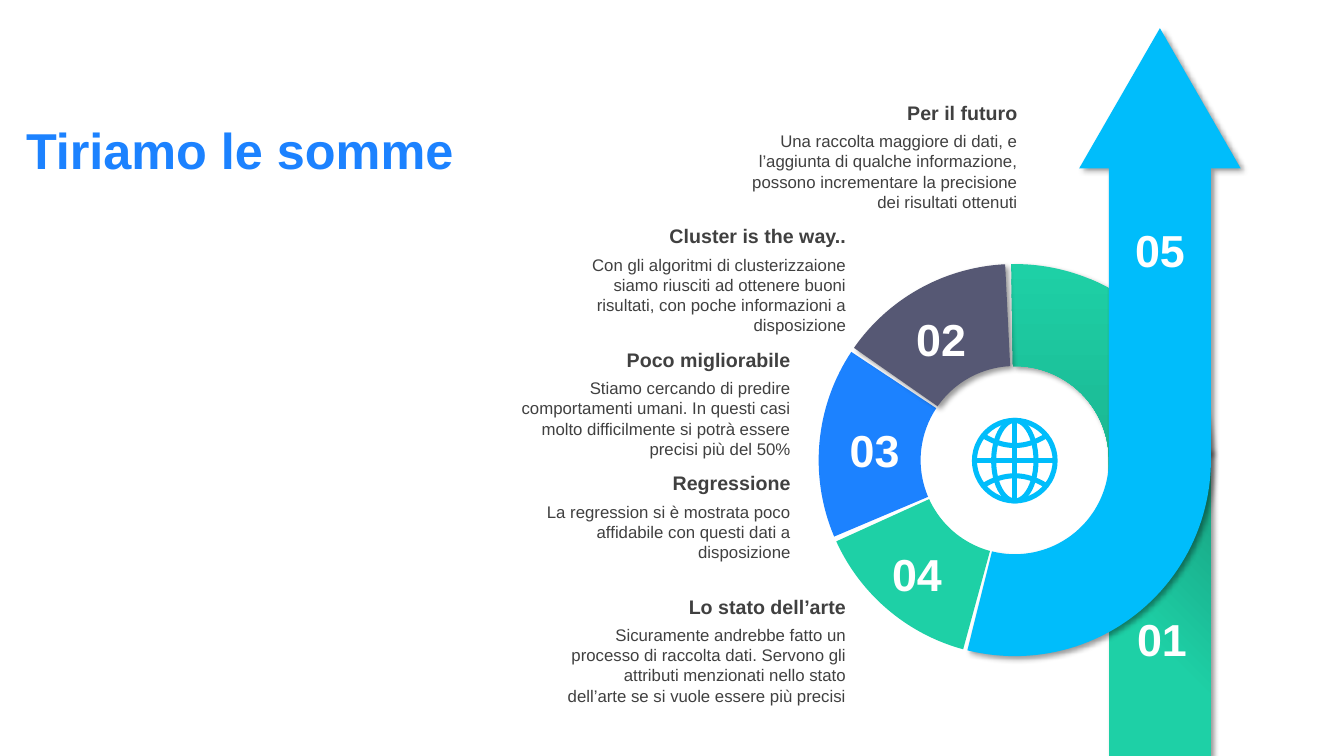
import math

import pptx
import pptx.dml.color
import pptx.enum.shapes
import pptx.enum.text
import pptx.oxml
import pptx.util
from pptx.util import Inches

GREEN, DARK_GREEN, CYAN, BLUE, SLATE = "1ED0A6", "179C7D", "00BDFB", "1C82FF", "565874"
GREY, WHITE = "404040", "FFFFFF"

TITLE = "Tiriamo le somme"
TOPICS = [
    ("Per il futuro",
     "Una raccolta maggiore di dati, e l’aggiunta di qualche informazione, "
     "possono incrementare la precisione dei risultati ottenuti", 10.19, 2.84, 0.91),
    ("Cluster is the way..",
     "Con gli algoritmi di clusterizzaione siamo riusciti ad ottenere buoni "
     "risultati, con poche informazioni a disposizione", 8.49, 2.72, 0.91),
    ("Poco migliorabile",
     "Stiamo cercando di predire comportamenti umani. In questi casi molto "
     "difficilmente si potrà essere precisi più del 50%", 7.94, 3.03, 0.91),
    ("Regressione",
     "La regression si è mostrata poco affidabile con questi dati a disposizione",
     7.94, 3.0, 0.71),
    ("Lo stato dell’arte",
     "Sicuramente andrebbe fatto un processo di raccolta dati. Servono gli "
     "attributi menzionati nello stato dell’arte se si vuole essere più precisi",
     8.49, 3.03, 0.91),
]
NUMBERS = [("01", 10.97, 6.02), ("04", 8.54, 5.37), ("03", 8.12, 4.14),
           ("02", 8.78, 3.04), ("05", 10.95, 2.16)]
SEGMENTS = [(285, 108.15, 138.31, GREEN, False),
            (337, 108.04, 141.9, BLUE, False),
            (36, 107.35, 138.7, SLATE, True)]

TOPIC_TOP, TOPIC_SPAN, BODY_DROP = 0.95, 4.9, 0.3
TOPIC_STEP = TOPIC_SPAN / (len(TOPICS) - 1)
RING_LEFT, RING_TOP, RING_SIZE, RING_BAND = 8.12, 2.62, 3.89, 0.26
RADIUS = RING_SIZE / 2
HOLE = RADIUS - RING_BAND * RING_SIZE
CENTER_X, CENTER_Y = RING_LEFT + RADIUS, RING_TOP + RADIUS
HOOK_END = 104
ARROW_TOP, ARROW_NECK, HEAD_HALF = 0.28, 1.67, 0.8
GLOBE_Y, GLOBE_RADIUS, GLOBE_INNER, GLOBE_LINE = 4.57, 0.4, 0.21, 3.6

SHADOW = (
    '<a:effectLst xmlns:a="http://schemas.openxmlformats.org/drawingml/2006/main">'
    '<a:outerShdw blurRad="50800" dist="38100" dir="2700000" algn="tl" rotWithShape="0">'
    '<a:srgbClr val="000000"><a:alpha val="40000"/></a:srgbClr>'
    '</a:outerShdw></a:effectLst>')
NO_EFFECT = '<a:effectLst xmlns:a="http://schemas.openxmlformats.org/drawingml/2006/main"/>'

SHAPE = pptx.enum.shapes.MSO_SHAPE
ALIGN = pptx.enum.text.PP_ALIGN
ANCHOR = pptx.enum.text.MSO_ANCHOR
AUTO = pptx.enum.text.MSO_AUTO_SIZE


def color(value):
    return pptx.dml.color.RGBColor.from_string(value)


def finish(shape, fill=None, shadow=False):
    if fill:
        shape.fill.solid()
        shape.fill.fore_color.rgb = color(fill)
    shape.line.fill.background()
    shape.shadow.inherit = False
    if shadow:
        properties = shape._element.spPr
        properties.remove(properties.find(pptx.oxml.ns.qn("a:effectLst")))
        properties.append(pptx.oxml.parse_xml(SHADOW))


def shade(shape, start, angle):
    shape.fill.gradient()
    shape.fill.gradient_angle = angle
    stops = shape.fill.gradient_stops
    for stop, position, value in zip(stops, (start, 1), (GREEN, DARK_GREEN)):
        stop.position = position
        stop.color.rgb = color(value)


def add_text(holder, text, left, top, width, height, size, tint=GREY, bold=False,
             align=ALIGN.LEFT, anchor=ANCHOR.TOP, grow=True, spacing=None):
    box = holder.add_textbox(Inches(left), Inches(top), Inches(width), Inches(height))
    frame = box.text_frame
    frame.word_wrap = True
    frame.auto_size = AUTO.SHAPE_TO_FIT_TEXT if grow else AUTO.NONE
    frame.vertical_anchor = anchor
    para = frame.paragraphs[0]
    para.alignment = align
    if spacing:
        para.line_spacing = spacing
    span = para.add_run()
    span.text = text
    span.font.name = "Arial"
    span.font.size = pptx.util.Pt(size)
    span.font.bold = bold
    span.font.color.rgb = color(tint)


def add_outline(shapes, points, close):
    corners = [(Inches(across), Inches(down)) for across, down in points]
    builder = shapes.build_freeform(*corners[0])
    builder.add_line_segments(corners[1:], close=close)
    return builder.convert_to_shape()


def add_ring_part(shapes, rotation, start, end):
    part = shapes.add_shape(SHAPE.BLOCK_ARC, Inches(RING_LEFT), Inches(RING_TOP),
                            Inches(RING_SIZE), Inches(RING_SIZE))
    part.rotation = rotation
    for index, value in enumerate((start, end, RING_BAND)):
        part.adjustments[index] = value
    return part


def arc(radius):
    angles = [math.radians(degree) for degree in range(0, HOOK_END + 1, 2)]
    return [(CENTER_X + radius * math.cos(angle), CENTER_Y + radius * math.sin(angle))
            for angle in angles]


def stroke(line):
    line.color.rgb = color(CYAN)
    line.width = pptx.util.Pt(GLOBE_LINE)


def add_globe(shapes):
    for half in (GLOBE_RADIUS, GLOBE_INNER):
        oval = shapes.add_shape(SHAPE.OVAL, Inches(CENTER_X - half),
                                Inches(GLOBE_Y - GLOBE_RADIUS),
                                Inches(2 * half), Inches(2 * GLOBE_RADIUS))
        finish(oval)
        oval.fill.background()
        stroke(oval.line)
    for across, down in ((GLOBE_RADIUS, 0), (0, GLOBE_RADIUS)):
        axis = shapes.add_connector(
            pptx.enum.shapes.MSO_CONNECTOR.STRAIGHT,
            Inches(CENTER_X - across), Inches(GLOBE_Y - down),
            Inches(CENTER_X + across), Inches(GLOBE_Y + down))
        stroke(axis.line)
        axis._element.spPr.append(pptx.oxml.parse_xml(NO_EFFECT))
    for side in (-1, 1):
        steps = [step / 10 for step in range(-10, 11)]
        curve = [(CENTER_X + 0.3 * step, GLOBE_Y + side * (0.15 + 0.09 * step ** 2))
                 for step in steps]
        parallel = add_outline(shapes, curve, False)
        finish(parallel)
        parallel.fill.background()
        stroke(parallel.line)


def main():
    deck = pptx.Presentation()
    deck.slide_width, deck.slide_height = Inches(13.33), Inches(7.5)
    page = deck.slides.add_slide(deck.slide_layouts[6])
    shapes = page.shapes

    start_arc = add_ring_part(shapes, 90, 107.35, 160.74)
    shade(start_arc, 0, 0)
    finish(start_arc, shadow=True)

    inner, outer = CENTER_X + HOLE, CENTER_X + RADIUS
    stem = shapes.add_shape(SHAPE.RECTANGLE, Inches(inner), Inches(4.46),
                            Inches(outer - inner), Inches(3.04))
    shade(stem, 0.38, 45)
    finish(stem, shadow=True)

    middle = (inner + outer) / 2
    hook = [(middle, ARROW_TOP), (middle + HEAD_HALF, ARROW_NECK), (outer, ARROW_NECK),
            *arc(RADIUS), *reversed(arc(HOLE)),
            (inner, ARROW_NECK), (middle - HEAD_HALF, ARROW_NECK)]
    finish(add_outline(shapes, hook, True), CYAN, True)

    for rotation, start, end, fill, shadow in SEGMENTS:
        finish(add_ring_part(shapes, rotation, start, end), fill, shadow)

    for index, (heading, body, right, width, height) in enumerate(TOPICS):
        top = TOPIC_TOP + index * TOPIC_STEP
        group = shapes.add_group_shape().shapes
        add_text(group, body, right - width, top + BODY_DROP, width, height, 12,
                 align=ALIGN.RIGHT)
        add_text(group, heading, right - width, top, width, 0.34, 14, bold=True,
                 align=ALIGN.RIGHT)

    for number, left, top in NUMBERS:
        add_text(shapes, number, left, top, 1.11, 0.64, 32, tint=WHITE, bold=True,
                 align=ALIGN.CENTER)

    add_text(shapes, TITLE, 0.16, 0.43, 5.43, 2.05, 36, tint=BLUE, bold=True,
             anchor=ANCHOR.MIDDLE, grow=False, spacing=1.1)
    add_globe(shapes)
    deck.save("out.pptx")


if __name__ == "__main__":
    main()
